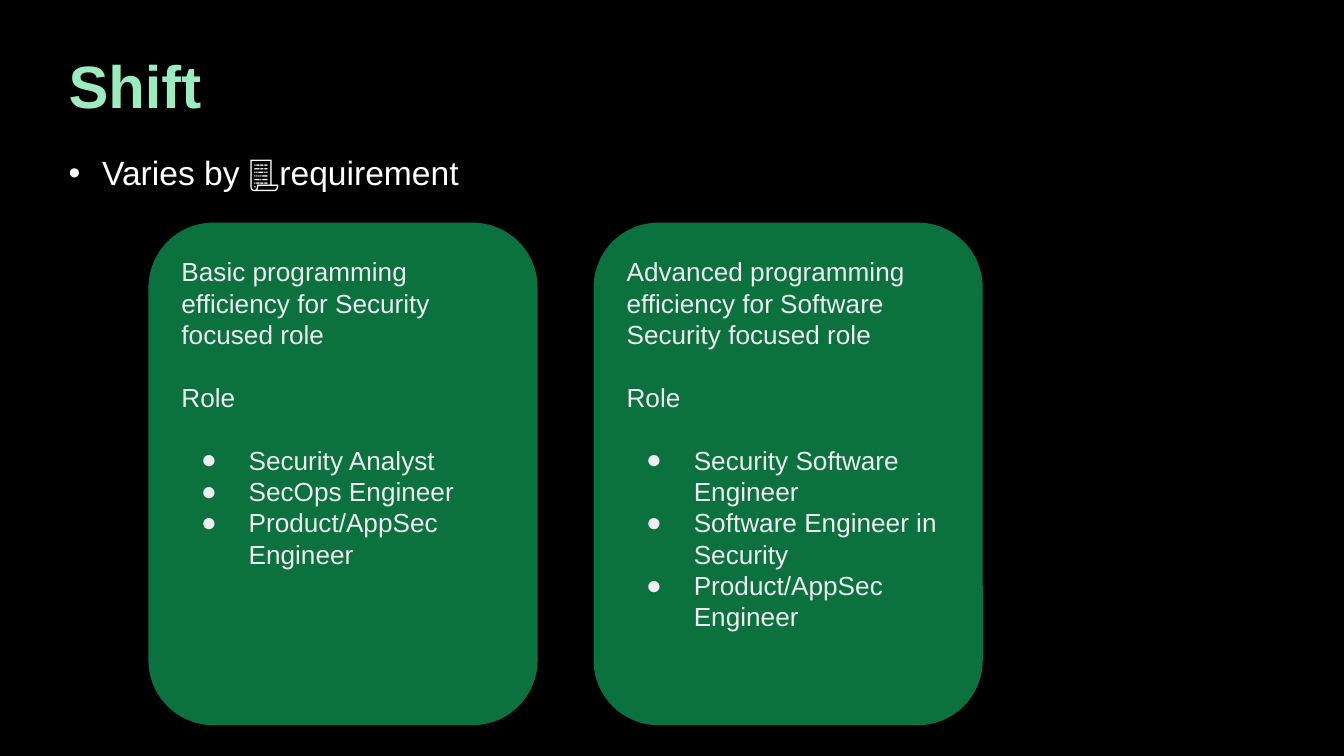
import dataclasses

import lxml.etree
import pptx
import pptx.dml.color
import pptx.enum.shapes
import pptx.enum.text
import pptx.oxml.ns
import pptx.util

PIXEL = 9525
BLACK, WHITE, MINT, GREEN, PALE = "000000", "FFFFFF", "9DECBF", "0B713F", "EFEFEF"


@dataclasses.dataclass
class Box:
    left: int
    top: int
    width: int
    height: int

    def emu(self) -> list[int]:
        return [value * PIXEL for value in (self.left, self.top, self.width, self.height)]


@dataclasses.dataclass
class Line:
    text: str
    size: int
    color: str
    bold: bool = False
    bullet: str = ""
    indent: int = 0
    hanging: int = 0
    spacing: float = 1.0
    before: float = 0


@dataclasses.dataclass
class RoleCard:
    left: int
    summary: str
    roles: list[str]


def rgb(color: str) -> pptx.dml.color.RGBColor:
    return pptx.dml.color.RGBColor.from_string(color)


def set_values(target, values: dict) -> None:
    for name, value in values.items():
        setattr(target, name, value)


def add_bullet(paragraph, line: Line) -> None:
    properties = paragraph._p.get_or_add_pPr()
    properties.set("marL", str(line.indent * PIXEL))
    properties.set("indent", str(-line.hanging * PIXEL))
    qn = pptx.oxml.ns.qn
    color = lxml.etree.SubElement(properties, qn("a:buClr"))
    lxml.etree.SubElement(color, qn("a:srgbClr")).set("val", line.color)
    lxml.etree.SubElement(properties, qn("a:buFont")).set("typeface", "Arial")
    lxml.etree.SubElement(properties, qn("a:buChar")).set("char", line.bullet)


def write_lines(shape, lines: list[Line], inset: int, anchor) -> None:
    frame = shape.text_frame
    margins = {f"margin_{side}": inset * PIXEL for side in ("left", "top", "right", "bottom")}
    set_values(frame, {"word_wrap": True, "vertical_anchor": anchor, **margins})
    for index, line in enumerate(lines):
        paragraph = frame.add_paragraph() if index else frame.paragraphs[0]
        set_values(paragraph, {
            "alignment": pptx.enum.text.PP_ALIGN.LEFT,
            "line_spacing": line.spacing,
            "space_before": pptx.util.Pt(line.before),
        })
        if line.bullet:
            add_bullet(paragraph, line)
        run = paragraph.add_run()
        run.text = line.text
        set_values(run.font, {"name": "Arial", "size": pptx.util.Pt(line.size), "bold": line.bold})
        run.font.color.rgb = rgb(line.color)


def add_text(slide, box: Box, line: Line, anchor) -> None:
    write_lines(slide.shapes.add_textbox(*box.emu()), [line], 2, anchor)


def add_card(slide, card: RoleCard) -> None:
    box = Box(card.left, 159, 278, 359)
    shape = slide.shapes.add_shape(pptx.enum.shapes.MSO_SHAPE.ROUNDED_RECTANGLE, *box.emu())
    shape.adjustments[0] = 0.167
    shape.shadow.inherit = False
    shape.fill.solid()
    shape.fill.fore_color.rgb = rgb(GREEN)
    shape.line.fill.background()
    gap = 16.8
    lines = [Line(card.summary, 14, PALE), Line("Role", 14, PALE, before=gap)]
    for index, role in enumerate(card.roles):
        lines.append(Line(role, 14, PALE, bullet="●", indent=48, hanging=34,
                          before=0 if index else gap))
    write_lines(shape, lines, 10, pptx.enum.text.MSO_ANCHOR.TOP)


def main() -> None:
    presentation = pptx.Presentation()
    set_values(presentation, {"slide_width": 960 * PIXEL, "slide_height": 540 * PIXEL})
    slide = presentation.slides.add_slide(presentation.slide_layouts[6])
    slide.background.fill.solid()
    slide.background.fill.fore_color.rgb = rgb(BLACK)

    anchors = pptx.enum.text.MSO_ANCHOR
    add_text(slide, Box(47, 37, 865, 57), Line("Shift", 32, MINT, bold=True, spacing=0.8),
             anchors.MIDDLE)
    add_text(slide, Box(47, 110, 865, 382),
             Line("Varies by 📃requirement", 18, WHITE, bullet="•", indent=24, hanging=24,
                  spacing=0.9, before=17), anchors.TOP)

    cards = [
        RoleCard(106, "Basic programming efficiency for Security focused role",
                 ["Security Analyst", "SecOps Engineer", "Product/AppSec Engineer"]),
        RoleCard(424, "Advanced programming efficiency for Software Security focused role",
                 ["Security Software Engineer", "Software Engineer in Security",
                  "Product/AppSec Engineer"]),
    ]
    for card in cards:
        add_card(slide, card)
    presentation.save("out.pptx")


if __name__ == "__main__":
    main()
